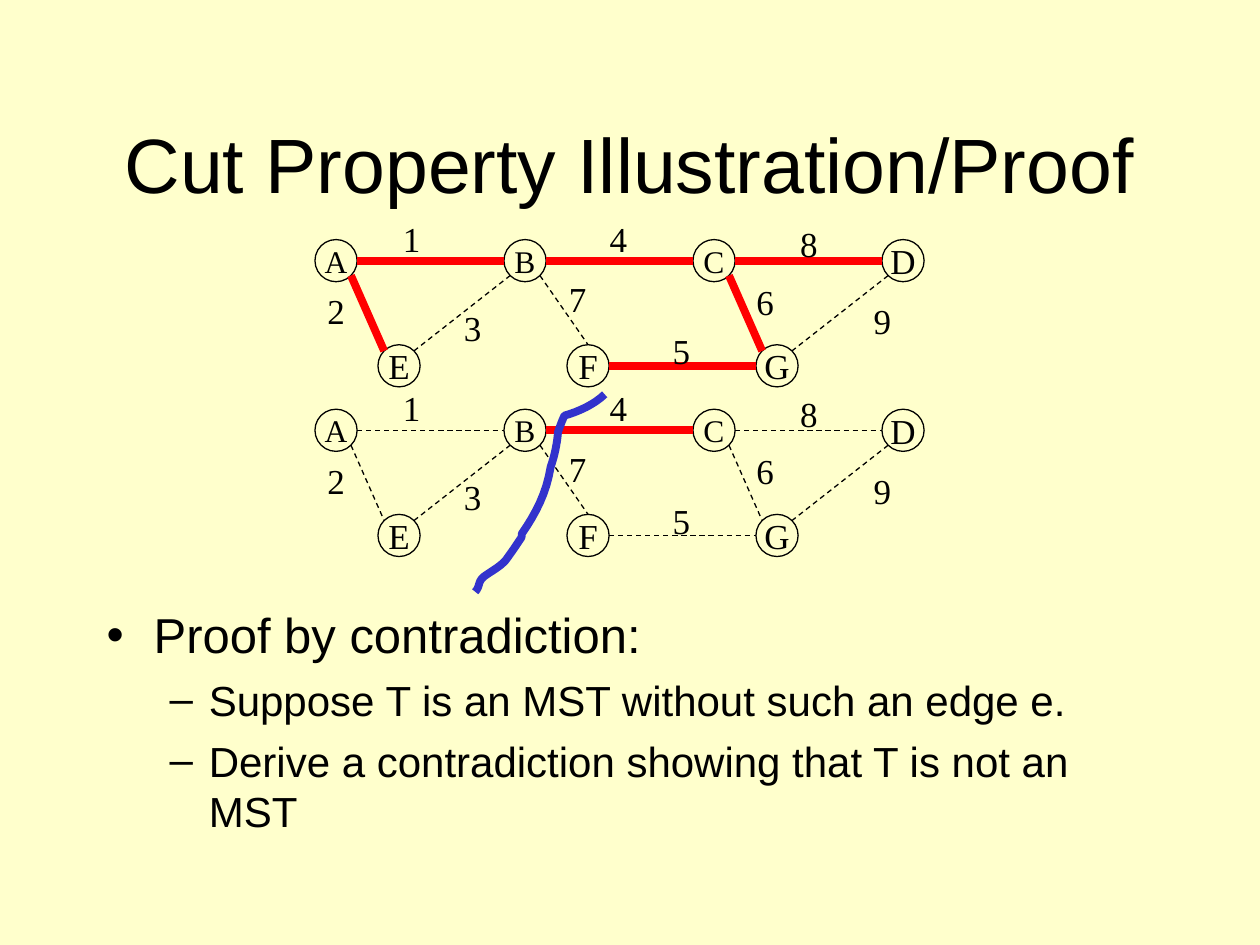
import math
from dataclasses import dataclass

import pptx
import pptx.dml.color
import pptx.enum.dml
import pptx.enum.shapes
import pptx.enum.text
import pptx.oxml.ns
import pptx.util
from lxml import etree

Cm = pptx.util.Cm
Pt = pptx.util.Pt
Align = pptx.enum.text.PP_ALIGN
Anchor = pptx.enum.text.MSO_ANCHOR


@dataclass(frozen=True)
class Theme:
    paper: str = "FFFFCC"
    ink: str = "000000"
    tree: str = "FF0000"
    cut: str = "3333CC"
    sans: str = "Arial"
    serif: str = "Times New Roman"
    title: float = 44
    bullet: float = 28
    sub_bullet: float = 24
    label: float = 20
    small_label: float = 18
    thin: float = 0.75
    thick: float = 4.5


THEME = Theme()

# Graph geometry in cm, relative to the top left of the graph's box
NODE = 0.85
COLUMN, ROW, ROW_SHIFT = 3.81, 2.12, 1.27
NODES = {name: (column * COLUMN, 0) for column, name in enumerate("ABCD")}
NODES |= {name: (ROW_SHIFT + column * COLUMN, ROW)
          for column, name in enumerate("EFG")}

# Clockwise angles of the points where edges meet a node
RIGHT, LOWER_RIGHT, LOWER_LEFT, LEFT = 0, 45, 135, 180
UPPER_LEFT, TOP, UPPER_RIGHT = 225, 270, 315

# Ends, angles at the ends, weight, and position of the weight's text box
EDGES = [
    ("AB", RIGHT, LEFT, "1", 1.52, -0.58),
    ("EB", UPPER_RIGHT, LOWER_LEFT, "3", 2.75, 1.22),
    ("CD", RIGHT, LEFT, "8", 9.53, -0.46),
    ("AE", LOWER_RIGHT, UPPER_LEFT, "2", 0, 0.89),
    ("BF", LOWER_RIGHT, TOP, "7", 4.87, 0.64),
    ("BC", RIGHT, LEFT, "4", 5.69, -0.58),
    ("CG", LOWER_RIGHT, UPPER_LEFT, "6", 8.65, 0.69),
    ("FG", RIGHT, LEFT, "5", 6.96, 1.69),
    ("DG", LOWER_LEFT, UPPER_RIGHT, "9", 11.01, 1.09),
]

# Bezier points of the cut: a start, then three points per segment
CUT = [
    (5.84, -0.3), (5.64, -0.1), (5.31, 0.05), (5.03, 0.13),
    (4.98, 0.23), (4.9, 0.46), (4.9, 0.46),
    (4.88, 0.71), (4.83, 0.94), (4.75, 1.17),
    (4.67, 1.68), (4.45, 2.11), (4.17, 2.51),
    (4.17, 2.54), (4.17, 2.59), (4.14, 2.62),
    (4.06, 2.74), (3.94, 2.92), (3.84, 3.05),
    (3.73, 3.18), (3.53, 3.28), (3.4, 3.38),
    (3.28, 3.48), (3.33, 3.58), (3.23, 3.68),
]


def colour(code):
    return pptx.dml.color.RGBColor.from_string(code)


def style_text(para, size, font):
    for span in para.runs:
        span.font.size = Pt(size)
        span.font.name = font
        span.font.color.rgb = colour(THEME.ink)


def add_text(shapes, left, top, width, height, text):
    box = shapes.add_textbox(Cm(left), Cm(top), Cm(width), Cm(height))
    box.text_frame.text = text
    return box.text_frame


def add_title(shapes, left, top, width, height):
    frame = add_text(shapes, left, top, width, height,
                     "Cut Property Illustration/Proof")
    frame.word_wrap = True
    frame.vertical_anchor = Anchor.MIDDLE
    frame.paragraphs[0].alignment = Align.CENTER
    style_text(frame.paragraphs[0], THEME.title, THEME.sans)


def set_bullet(para, mark, margin, hanging):
    props = para._p.get_or_add_pPr()
    props.set("marL", str(Cm(margin)))
    props.set("indent", str(-Cm(hanging)))
    font = etree.SubElement(props, pptx.oxml.ns.qn("a:buFont"))
    font.set("typeface", THEME.sans)
    etree.SubElement(props, pptx.oxml.ns.qn("a:buChar")).set("char", mark)


def add_proof(shapes, left, top, width, height):
    lines = ["Proof by contradiction:",
             "Suppose T is an MST without such an edge e.",
             "Derive a contradiction showing that T is not an MST"]
    frame = add_text(shapes, left, top, width, height, "\n".join(lines))
    frame.word_wrap = True
    for index, para in enumerate(frame.paragraphs):
        if index == 0:
            para.space_before = Pt(7)
            set_bullet(para, "•", 0.95, 0.95)
            style_text(para, THEME.bullet, THEME.sans)
        else:
            para.level = 1
            para.space_before = Pt(6)
            set_bullet(para, "–", 2.06, 0.79)
            style_text(para, THEME.sub_bullet, THEME.sans)


def add_node(shapes, left, top, name):
    node = shapes.add_shape(pptx.enum.shapes.MSO_SHAPE.OVAL,
                            Cm(left), Cm(top), Cm(NODE), Cm(NODE))
    node.shadow.inherit = False
    node.fill.background()
    node.line.color.rgb = colour(THEME.ink)
    node.line.width = Pt(THEME.thin)
    frame = node.text_frame
    frame.text = name
    frame.word_wrap = False
    frame.vertical_anchor = Anchor.MIDDLE
    frame.paragraphs[0].alignment = Align.CENTER
    size = THEME.small_label if name in "ABC" else THEME.label
    style_text(frame.paragraphs[0], size, THEME.serif)


def rim_point(name, angle):
    x, y = NODES[name]
    turn, radius = math.radians(angle), NODE / 2
    return (x + radius + radius * math.cos(turn),
            y + radius + radius * math.sin(turn))


def add_edge(shapes, left, top, start, end, in_tree):
    edge = shapes.add_connector(
        pptx.enum.shapes.MSO_CONNECTOR.STRAIGHT,
        Cm(left + start[0]), Cm(top + start[1]),
        Cm(left + end[0]), Cm(top + end[1]))
    etree.SubElement(edge._element.spPr, pptx.oxml.ns.qn("a:effectLst"))
    edge.line.color.rgb = colour(THEME.tree if in_tree else THEME.ink)
    edge.line.width = Pt(THEME.thick if in_tree else THEME.thin)
    if not in_tree:
        edge.line.dash_style = pptx.enum.dml.MSO_LINE.DASH


def add_graph(shapes, left, top, tree_edges):
    for name, (x, y) in NODES.items():
        add_node(shapes, left + x, top + y, name)
    for ends, leave, arrive, weight, x, y in EDGES:
        add_edge(shapes, left, top, rim_point(ends[0], leave),
                 rim_point(ends[1], arrive), ends in tree_edges)
        frame = add_text(shapes, left + x, top + y, 0.86, 1.11, weight)
        frame.word_wrap = False
        style_text(frame.paragraphs[0], THEME.label, THEME.serif)


def curve_points(points, steps=8):
    for first in range(0, len(points) - 1, 3):
        segment = points[first:first + 4]
        for step in range(1, steps + 1):
            t = step / steps
            yield tuple(sum(math.comb(3, k) * (1 - t) ** (3 - k) * t ** k
                            * segment[k][axis] for k in range(4))
                        for axis in (0, 1))


def add_cut(shapes, left, top):
    def place(point):
        return Cm(left + point[0]), Cm(top + point[1])

    builder = shapes.build_freeform(*place(CUT[0]))
    builder.add_line_segments([place(point) for point in curve_points(CUT)],
                              close=False)
    cut = builder.convert_to_shape()
    cut.shadow.inherit = False
    cut.fill.background()
    cut.line.color.rgb = colour(THEME.cut)
    cut.line.width = Pt(THEME.thick)


def main():
    deck = pptx.Presentation()
    deck.slide_width, deck.slide_height = Cm(25.4), Cm(19.05)
    page = deck.slides.add_slide(deck.slide_layouts[6])
    page.background.fill.solid()
    page.background.fill.fore_color.rgb = colour(THEME.paper)

    # Text regions
    add_title(page.shapes, 1.9, 1.7, 21.6, 3.18)
    add_proof(page.shapes, 1.9, 12.07, 21.6, 4.87)

    # Spanning tree above, cut with its lightest edge below
    tree = page.shapes.add_group_shape().shapes
    add_graph(tree, 6.35, 4.83, ["AB", "BC", "CD", "AE", "CG", "FG"])
    divided = page.shapes.add_group_shape().shapes
    add_graph(divided, 6.35, 8.25, ["BC"])
    add_cut(divided, 6.35, 8.25)

    deck.save("out.pptx")


if __name__ == "__main__":
    main()
